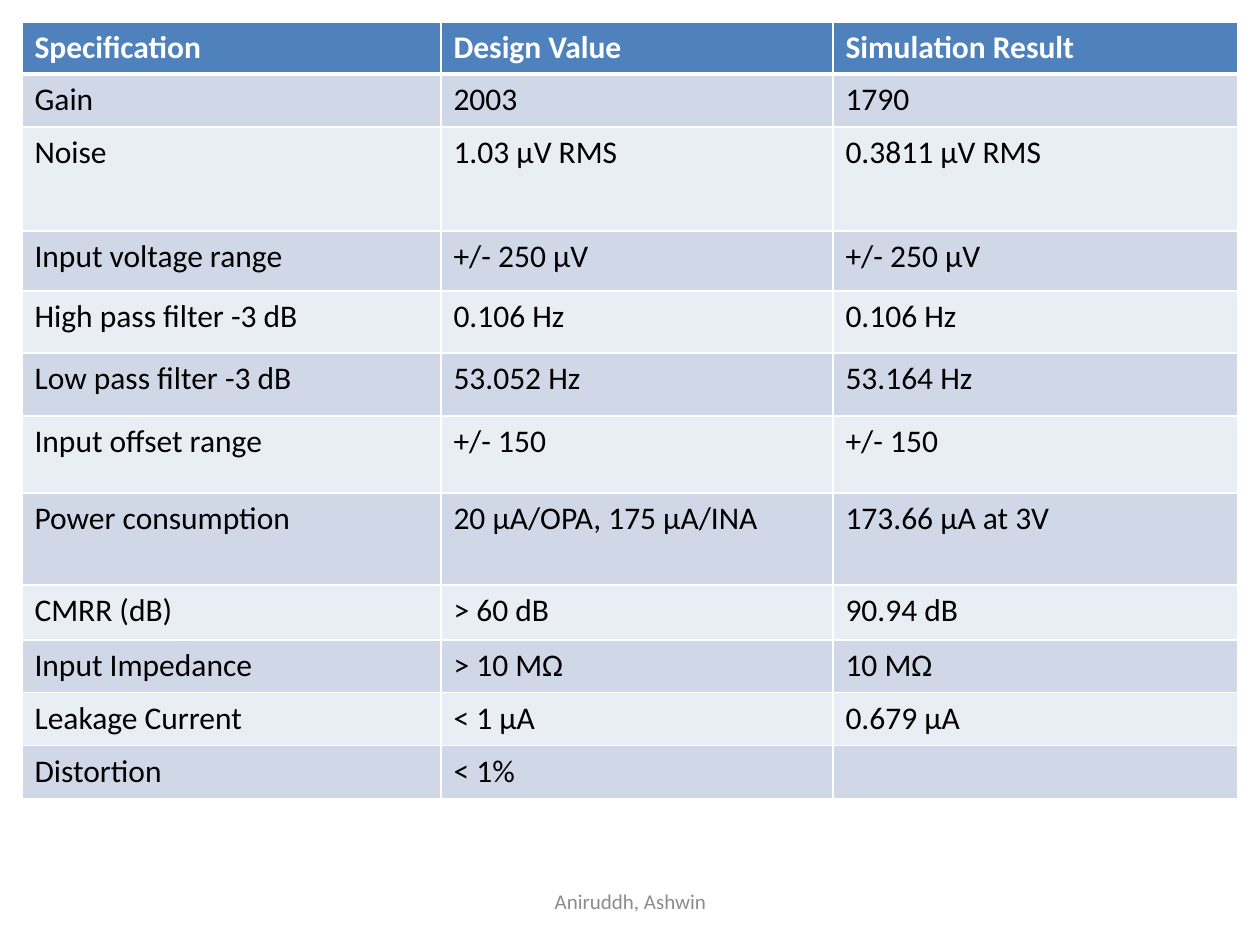
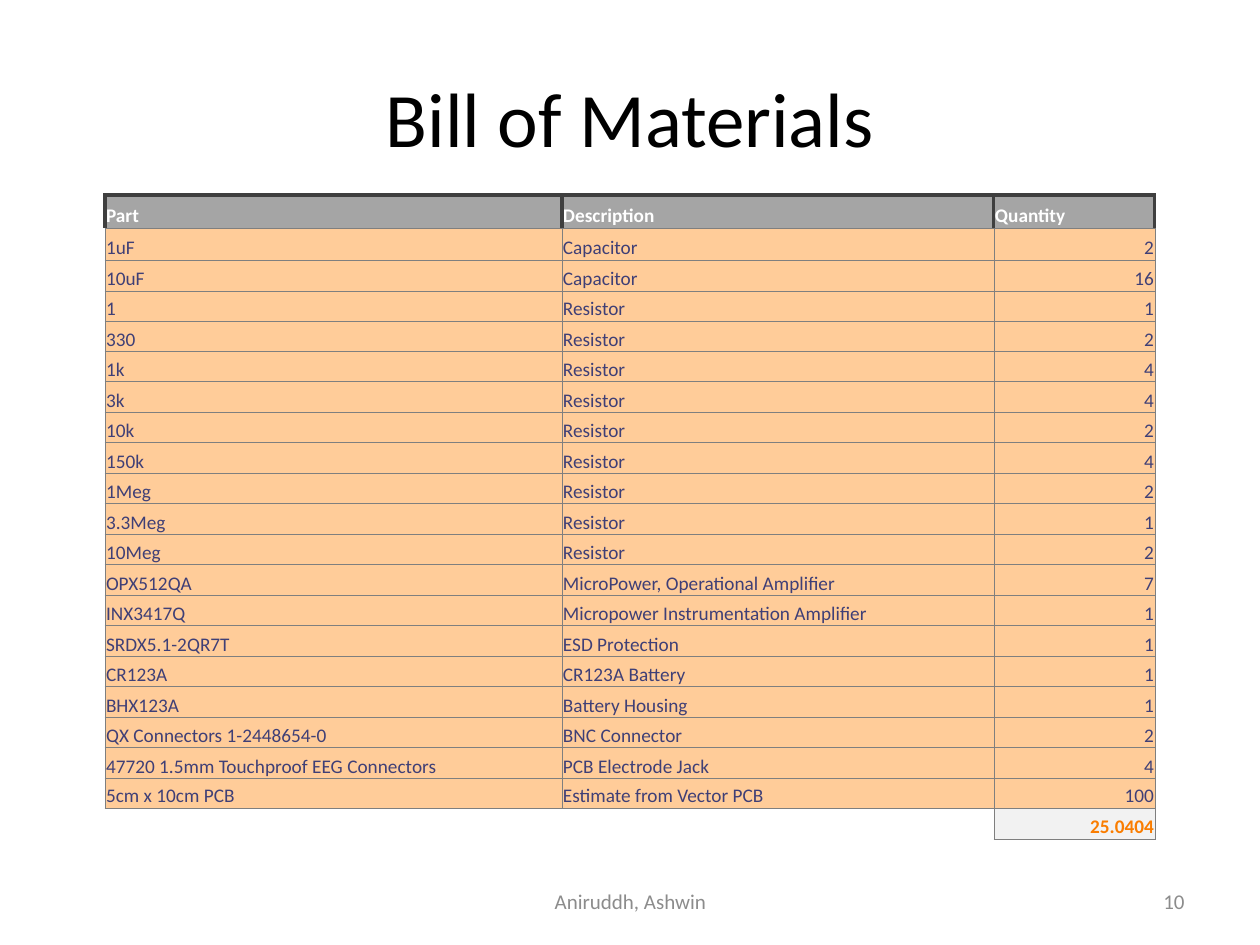
from dataclasses import dataclass

from lxml import etree
from pptx import Presentation
from pptx import util as u
from pptx.dml.color import RGBColor
from pptx.enum import text
from pptx.oxml.ns import qn

PX = u.Inches(1) / 126  # EMU per pixel
LEFT, CENTER, RIGHT = text.PP_ALIGN.LEFT, text.PP_ALIGN.CENTER, text.PP_ALIGN.RIGHT
TOP, MIDDLE, BOTTOM = text.MSO_ANCHOR.TOP, text.MSO_ANCHOR.MIDDLE, text.MSO_ANCHOR.BOTTOM


@dataclass(frozen=True)
class Theme:
    font: str = "Calibri"
    black: str = "000000"
    white: str = "FFFFFF"
    footer: str = "8C8C8C"
    # specification table
    spec_head: str = "4F81BD"
    spec_bands: tuple = ("D0D8E8", "E9EDF4")
    # parts table
    parts_head: str = "A5A5A5"
    parts_edge: str = "3F3F3F"
    parts_grid: str = "7F7F7F"
    parts_fill: str = "FFCC99"
    parts_text: str = "3F3F76"
    total_fill: str = "F2F2F2"
    total_text: str = "FA7D00"
    # type sizes
    title_size: int = 44
    spec_size: int = 18
    parts_size: int = 11
    footer_size: int = 12


def px(n):
    return u.Emu(round(n * PX))


def even(total, n):
    """Split a whole number of pixels into n nearly equal whole parts."""
    edges = [round(total * i / n) for i in range(n + 1)]
    return [b - a for a, b in zip(edges, edges[1:])]


class Deck:
    def __init__(self, theme):
        self.t = theme
        self.prs = Presentation()
        self.prs.slide_width, self.prs.slide_height = u.Inches(10), u.Inches(7.5)
        self.s = None

    def slide(self, title=None):
        self.s = self.prs.slides.add_slide(self.prs.slide_layouts[5 if title else 6])
        if title:
            sp = self.s.shapes.title
            sp.left, sp.top, sp.width, sp.height = map(px, (63, 38, 1134, 158))
            sp.text_frame.vertical_anchor = MIDDLE
            self.run(sp.text_frame, title, self.t.title_size, self.t.black, CENTER)

    def run(self, tf, words, size, color, align=LEFT, bold=False):
        p = tf.paragraphs[0]
        p.alignment = align
        r = p.add_run()
        r.text = words
        r.font.name, r.font.size, r.font.bold = self.t.font, u.Pt(size), bold
        r.font.color.rgb = RGBColor.from_string(color)

    def label(self, words, x, y, w, h, align):
        tf = self.s.shapes.add_textbox(px(x), px(y), px(w), px(h)).text_frame
        tf.word_wrap, tf.vertical_anchor = True, MIDDLE
        self.run(tf, words, self.t.footer_size, self.t.footer, align)

    def footer(self, number=None):
        self.label("Aniruddh, Ashwin", 431, 876, 399, 50, CENTER)
        if number:
            self.label(number, 903, 876, 294, 50, RIGHT)

    def table(self, x, y, cols, rows):
        frame = self.s.shapes.add_table(len(rows), len(cols), px(x), px(y),
                                        px(sum(cols)), px(sum(rows)))
        tbl = frame.table
        tbl.first_row = tbl.horz_banding = False
        for col, w in zip(tbl.columns, cols):
            col.width = px(w)
        for row, h in zip(tbl.rows, rows):
            row.height = px(h)
        return tbl

    def cell(self, cell, words, size, color, fill, borders, align=LEFT, bold=False,
             anchor=TOP, margins=None):
        """Borders map a side (L, R, T, B) to a colour and a width in points."""
        cell.vertical_anchor = anchor
        if margins:
            (cell.margin_left, cell.margin_top,
             cell.margin_right, cell.margin_bottom) = map(px, margins)
        if words:
            self.run(cell.text_frame, words, size, color, align, bold)
        else:
            p = cell.text_frame.paragraphs[0]
            etree.SubElement(p._p, qn("a:endParaRPr"), sz=str(size * 100))
        # Borders come before the fill in the cell properties
        tc_pr = cell._tc.get_or_add_tcPr()
        for side in "LRTB":
            line, width = borders.get(side, (None, 0))
            ln = etree.SubElement(tc_pr, qn(f"a:ln{side}"), w=str(u.Pt(width)))
            if line:
                solid = etree.SubElement(ln, qn("a:solidFill"))
                etree.SubElement(solid, qn("a:srgbClr"), val=line)
            else:
                etree.SubElement(ln, qn("a:noFill"))
        if fill:
            cell.fill.solid()
            cell.fill.fore_color.rgb = RGBColor.from_string(fill)
        else:
            cell.fill.background()


t = Theme()
deck = Deck(t)

# Slide 1: specifications
SPECS = [
    ("Specification", "Design Value", "Simulation Result"),
    ("Gain", "2003", "1790"),
    ("Noise", "1.03 µV RMS", "0.3811 µV RMS"),
    ("Input voltage range", "+/- 250 μV", "+/- 250 μV"),
    ("High pass filter -3 dB", "0.106 Hz", "0.106 Hz"),
    ("Low pass filter -3 dB", "53.052 Hz", "53.164 Hz"),
    ("Input offset range", "+/- 150", "+/- 150"),
    ("Power consumption", "20 µA/OPA, 175 µA/INA", "173.66 µA at 3V"),
    ("CMRR (dB)", "> 60 dB", "90.94 dB"),
    ("Input Impedance", "> 10 MΩ", "10 MΩ"),
    ("Leakage Current", "< 1 µA", "0.679 µA"),
    ("Distortion", "< 1%", ""),
]
deck.slide()
tbl = deck.table(22, 22, (419, 392, 405),
                 (52, 53, 104, 60, 62, 63, 77, 92, 55, 53, 53, 53))
thin, thick = (t.white, 1), (t.white, 3)
for i, row in enumerate(SPECS):
    head = i == 0
    borders = dict.fromkeys("LRTB", thin)
    if head:
        borders["B"] = thick
    elif i == 1:
        borders["T"] = thick
    for j, words in enumerate(row):
        deck.cell(tbl.cell(i, j), words, t.spec_size,
                  t.white if head else t.black,
                  t.spec_head if head else t.spec_bands[(i - 1) % 2],
                  borders, bold=head)
deck.footer()

# Slide 2: bill of materials
RESISTORS = [("1", 1), ("330", 2), ("1k", 4), ("3k", 4), ("10k", 2), ("150k", 4),
             ("1Meg", 2), ("3.3Meg", 1), ("10Meg", 2)]
PARTS = [
    ("1uF", "Capacitor", 2),
    ("10uF", "Capacitor", 16),
    *((value, "Resistor", count) for value, count in RESISTORS),
    ("OPX512QA", "MicroPower, Operational Amplifier", 7),
    ("INX3417Q", "Micropower Instrumentation Amplifier", 1),
    ("SRDX5.1-2QR7T", "ESD Protection", 1),
    ("CR123A", "CR123A Battery", 1),
    ("BHX123A", "Battery Housing", 1),
    ("QX Connectors 1-2448654-0", "BNC Connector", 2),
    ("47720 1.5mm Touchproof EEG Connectors", "PCB Electrode Jack", 4),
    ("5cm x 10cm PCB", "Estimate from Vector PCB", 100),
]
deck.slide("Bill of Materials")
tbl = deck.table(105, 195, (457, 432, 161), [33, 32, *even(580, len(PARTS))])
grid, edge = (t.parts_grid, 0.5), (t.parts_edge, 2)
boxed = dict.fromkeys("LRTB", grid)
tight = dict(anchor=BOTTOM, margins=(1, 1, 1, 0))

for j, words in enumerate(("Part", "Description", "Quantity")):
    deck.cell(tbl.cell(0, j), words, t.parts_size, t.white, t.parts_head,
              {"L": edge, "R": edge, "T": edge, "B": grid}, bold=True, **tight)

for i, row in enumerate(PARTS, 1):
    for j, value in enumerate(row):
        deck.cell(tbl.cell(i, j), str(value), t.parts_size, t.parts_text,
                  t.parts_fill, boxed, RIGHT if j == 2 else LEFT, **tight)

# Total row: only the last cell is filled
last = len(PARTS) + 1
for j, borders in enumerate(({"T": grid}, {"T": grid, "R": grid})):
    deck.cell(tbl.cell(last, j), "", t.parts_size, t.black, None, borders, **tight)
deck.cell(tbl.cell(last, 2), "25.0404", t.parts_size, t.total_text, t.total_fill,
          boxed, RIGHT, bold=True, **tight)
deck.footer("10")

deck.prs.save("out.pptx")
